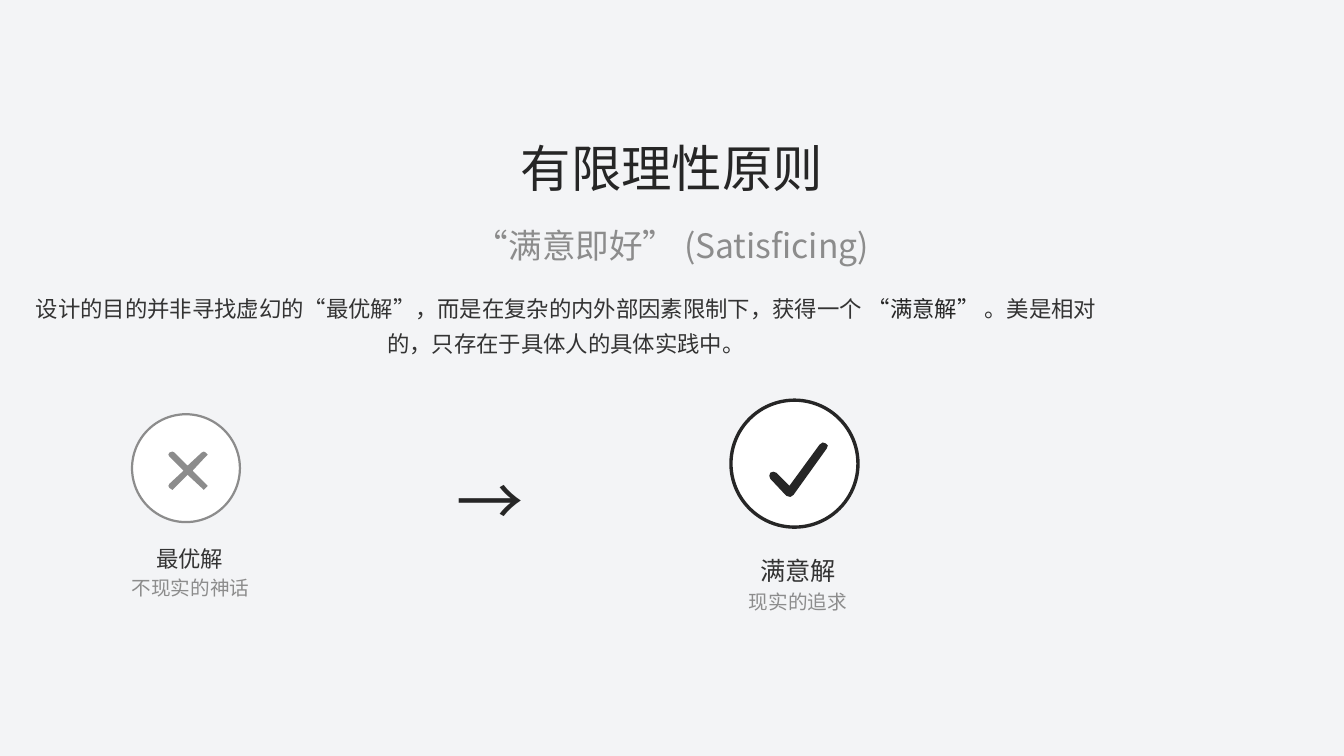
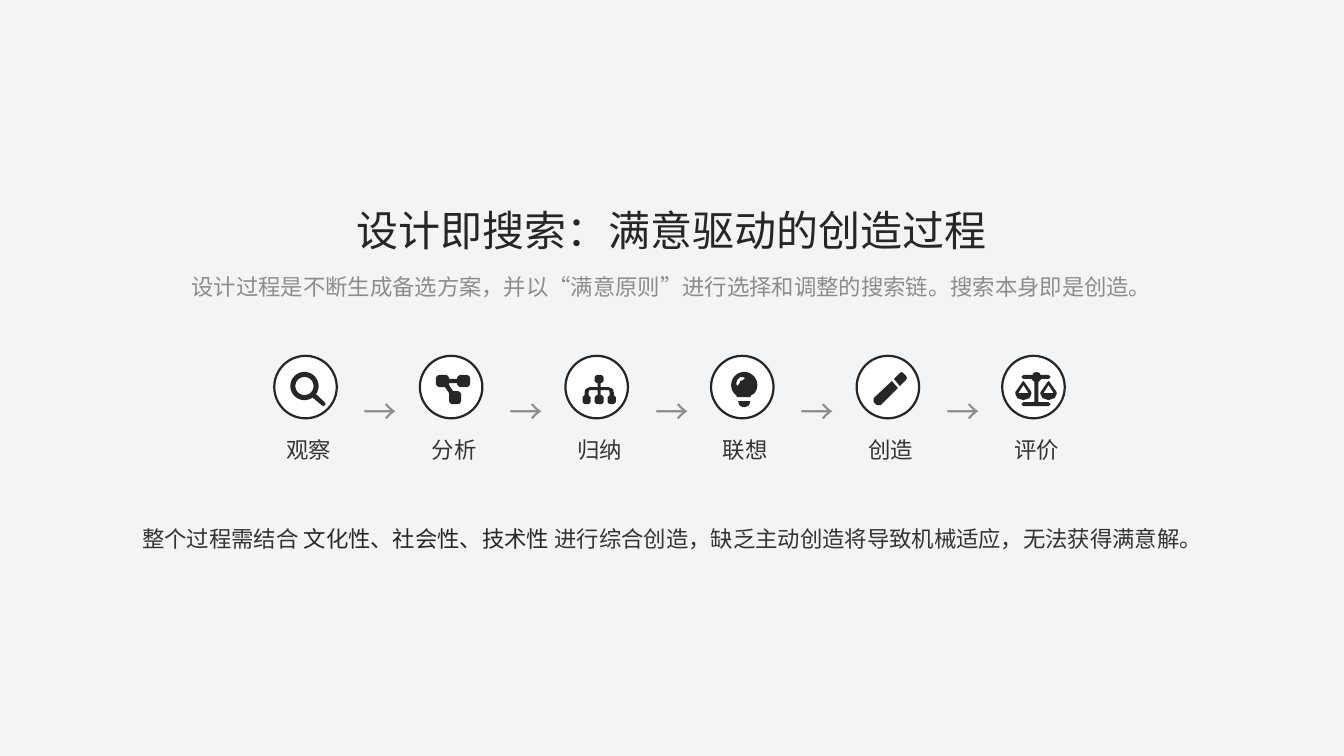
import math
from dataclasses import dataclass

import pptx
import pptx.dml.color
import pptx.enum.lang
import pptx.enum.shapes
import pptx.enum.text
import pptx.oxml.ns
import pptx.util

Inches = pptx.util.Inches
Pt = pptx.util.Pt
RGB = pptx.dml.color.RGBColor
Align = pptx.enum.text.PP_ALIGN
qn = pptx.oxml.ns.qn

Contour = tuple[tuple[float, float], ...]
Icon = tuple[Contour, ...]
Box = tuple[float, float, float, float]


@dataclass(frozen=True)
class Theme:
    font: str = "Noto Sans CJK SC"
    paper: RGB = RGB(0xF3, 0xF4, 0xF6)
    white: RGB = RGB(0xFF, 0xFF, 0xFF)
    ink: RGB = RGB(0x26, 0x26, 0x26)
    body: RGB = RGB(0x33, 0x33, 0x33)
    muted: RGB = RGB(0x8C, 0x8C, 0x8C)
    hero: int = 36
    title: int = 30
    subtitle: int = 24
    emphasis: int = 18
    text: int = 16
    caption: int = 14
    big_arrow: int = 48


T = Theme()
WIDTH, HEIGHT = 13.33, 7.5


@dataclass(frozen=True)
class Badge:
    """A white disc; its icon is in inches from the disc's top left corner."""
    left: float
    top: float
    size: float
    line: float
    color: RGB
    icon: Icon


@dataclass(frozen=True)
class Outcome:
    badge: Badge
    name: str
    name_box: Box
    name_size: int
    note: str
    note_box: Box


@dataclass(frozen=True)
class Step:
    name: str
    icon: Icon


def arc(x: float, y: float, radius: float, start: int, end: int) -> Contour:
    """Points along a circle, in degrees clockwise from the right."""
    return tuple((x + radius * math.cos(math.radians(a)),
                  y + radius * math.sin(math.radians(a)))
                 for a in range(start, end + 1, 10))


def scale_pan(x: float) -> Icon:
    """One hanging pan of the balance, centred on x, with its opening."""
    return (
        ((x - 0.08, 0.38), (x - 0.08, 0.36), (x - 0.01, 0.26), (x, 0.25),
         (x + 0.01, 0.26), (x + 0.08, 0.36), (x + 0.08, 0.38),
         (x + 0.06, 0.42), (x, 0.44), (x - 0.06, 0.42)),
        ((x - 0.05, 0.37), (x, 0.29), (x + 0.05, 0.37)),
    )


CROSS: Icon = ((
    (0.42, 0.38), (0.4, 0.37), (0.37, 0.38), (0.36, 0.4), (0.37, 0.42), (0.51, 0.56),
    (0.37, 0.69), (0.36, 0.71), (0.37, 0.73), (0.4, 0.75), (0.42, 0.73), (0.55, 0.6),
    (0.69, 0.73), (0.71, 0.75), (0.73, 0.73), (0.75, 0.71), (0.73, 0.69), (0.6, 0.56),
    (0.73, 0.42), (0.75, 0.4), (0.73, 0.38), (0.71, 0.37), (0.69, 0.38), (0.55, 0.51),
),)
CHECK: Icon = ((
    (0.94, 0.43), (0.96, 0.45), (0.95, 0.48), (0.62, 0.94), (0.59, 0.96),
    (0.55, 0.95), (0.39, 0.78), (0.38, 0.75), (0.39, 0.72), (0.42, 0.71),
    (0.45, 0.72), (0.58, 0.85), (0.88, 0.44), (0.91, 0.42),
),)
MAGNIFIER: Icon = (
    arc(0.3, 0.3, 0.14, 55, 395) + ((0.5, 0.46), (0.51, 0.48), (0.49, 0.5), (0.47, 0.49)),
    arc(0.3, 0.3, 0.09, 0, 350),
)
LINKED_NODES: Icon = ((
    (0.16, 0.22), (0.17, 0.2), (0.19, 0.19), (0.26, 0.19), (0.28, 0.2), (0.29, 0.22),
    (0.29, 0.23), (0.37, 0.23), (0.37, 0.22), (0.38, 0.2), (0.4, 0.19), (0.47, 0.19),
    (0.49, 0.2), (0.5, 0.22), (0.5, 0.28), (0.49, 0.3), (0.47, 0.31), (0.4, 0.31),
    (0.38, 0.3), (0.37, 0.28), (0.37, 0.27), (0.29, 0.27), (0.29, 0.29), (0.33, 0.35),
    (0.38, 0.35), (0.4, 0.36), (0.41, 0.38), (0.41, 0.45), (0.4, 0.47), (0.38, 0.48),
    (0.32, 0.48), (0.3, 0.47), (0.29, 0.45), (0.29, 0.37), (0.25, 0.31), (0.19, 0.31),
    (0.17, 0.3), (0.16, 0.28),
),)
HIERARCHY: Icon = ((
    (0.29, 0.21), (0.31, 0.19), (0.36, 0.19), (0.38, 0.21), (0.38, 0.25), (0.36, 0.27),
    (0.35, 0.27), (0.35, 0.31), (0.43, 0.31), (0.47, 0.33), (0.48, 0.36), (0.48, 0.39),
    (0.5, 0.41), (0.5, 0.46), (0.48, 0.48), (0.44, 0.48), (0.42, 0.46), (0.42, 0.41),
    (0.44, 0.39), (0.44, 0.36), (0.43, 0.34), (0.35, 0.34), (0.35, 0.39), (0.36, 0.39),
    (0.38, 0.41), (0.38, 0.46), (0.36, 0.48), (0.31, 0.48), (0.29, 0.46), (0.29, 0.41),
    (0.31, 0.39), (0.32, 0.39), (0.32, 0.34), (0.24, 0.34), (0.23, 0.36), (0.23, 0.39),
    (0.25, 0.41), (0.25, 0.46), (0.23, 0.48), (0.19, 0.48), (0.17, 0.46), (0.17, 0.41),
    (0.19, 0.39), (0.19, 0.36), (0.2, 0.33), (0.24, 0.31), (0.32, 0.31), (0.32, 0.27),
    (0.31, 0.27), (0.29, 0.25),
),)
BULB: Icon = (
    arc(0.33, 0.29, 0.13, 140, 400) + ((0.4, 0.39), (0.39, 0.41), (0.26, 0.41), (0.25, 0.39)),
    ((0.27, 0.45), (0.39, 0.45), (0.38, 0.49), (0.34, 0.51), (0.32, 0.51), (0.28, 0.49)),
    ((0.32, 0.24), (0.29, 0.25), (0.28, 0.28), (0.26, 0.3), (0.25, 0.28),
     (0.26, 0.24), (0.29, 0.21), (0.32, 0.21), (0.34, 0.22)),
)
PENCIL: Icon = (
    ((0.43, 0.17), (0.37, 0.23), (0.43, 0.3), (0.49, 0.24), (0.5, 0.22),
     (0.49, 0.2), (0.46, 0.17), (0.45, 0.16)),
    ((0.35, 0.25), (0.17, 0.42), (0.17, 0.46), (0.2, 0.49), (0.24, 0.49), (0.41, 0.32)),
)
BALANCE: Icon = ((
    (0.38, 0.19), (0.46, 0.19), (0.48, 0.21), (0.46, 0.23), (0.39, 0.23), (0.36, 0.26),
    (0.36, 0.46), (0.46, 0.46), (0.48, 0.48), (0.46, 0.5), (0.21, 0.5), (0.19, 0.48),
    (0.21, 0.46), (0.32, 0.46), (0.32, 0.26), (0.29, 0.23), (0.21, 0.23), (0.19, 0.21),
    (0.21, 0.19), (0.3, 0.19), (0.31, 0.17), (0.34, 0.16), (0.37, 0.17),
),) + scale_pan(0.21) + scale_pan(0.46)


def add_text(slide, box: Box, runs: list[tuple[str, RGB]], size: int,
             spacing: float = 1.3, align: Align = Align.CENTER) -> None:
    tf = slide.shapes.add_textbox(*map(Inches, box)).text_frame
    frame_format = {
        "word_wrap": True, "vertical_anchor": pptx.enum.text.MSO_ANCHOR.MIDDLE,
        "margin_left": 0, "margin_right": 0, "margin_top": 0, "margin_bottom": 0,
    }
    for name, value in frame_format.items():
        setattr(tf, name, value)
    p = tf.paragraphs[0]
    p.alignment, p.line_spacing = align, spacing
    font_format = {
        "name": T.font, "size": Pt(size),
        "language_id": pptx.enum.lang.MSO_LANGUAGE_ID.SIMPLIFIED_CHINESE,
    }
    for text, color in runs:
        r = p.add_run()
        r.text = text
        for name, value in font_format.items():
            setattr(r.font, name, value)
        r.font.color.rgb = color
        latin = r.font._element.find(qn("a:latin"))
        latin.addnext(latin.makeelement(qn("a:ea"), {"typeface": T.font}))


def add_icon(slide, badge: Badge) -> None:
    """Draw all contours as one outline; inner contours become holes."""
    contours = [[(Inches(badge.left + x), Inches(badge.top + y)) for x, y in contour]
                for contour in badge.icon]
    builder = slide.shapes.build_freeform(*contours[0][0])
    for i, contour in enumerate(contours):
        if i:
            builder.move_to(*contour[0])
        builder.add_line_segments(contour[1:], close=True)
    sp = builder.convert_to_shape()
    sp.shadow.inherit = False
    sp.fill.solid()
    sp.fill.fore_color.rgb = badge.color
    sp.line.fill.background()


def add_badge(slide, badge: Badge) -> None:
    sp = slide.shapes.add_shape(
        pptx.enum.shapes.MSO_SHAPE.OVAL,
        *map(Inches, (badge.left, badge.top, badge.size, badge.size)))
    sp.shadow.inherit = False
    sp.fill.solid()
    sp.fill.fore_color.rgb = T.white
    sp.line.color.rgb = badge.color
    sp.line.width = Pt(badge.line)
    add_icon(slide, badge)


def build_principle(slide) -> None:
    add_text(slide, (0, 1.42, WIDTH, 0.56), [("有限理性原则", T.ink)], T.hero, 0.9)
    add_text(slide, (0, 2.19, WIDTH, 0.45), [("“满意即好” (Satisficing)", T.muted)],
             T.subtitle, 1.1)
    add_text(slide, (0.28, 2.86, 10.67, 0.67), [
        ("设计的目的并非寻找虚幻的“最优解”，而是在复杂的内外部因素限制下，获得一个", T.body),
        (" “满意解” ", T.ink),
        ("。美是相对的，只存在于具体人的具体实践中。", T.body),
    ], T.text)
    outcomes = (
        Outcome(Badge(1.31, 4.11, 1.07, 1.6, T.muted, CROSS),
                "最优解", (1.02, 5.33, 1.72, 0.34), T.text,
                "不现实的神话", (1.03, 5.67, 1.72, 0.28)),
        Outcome(Badge(7.25, 3.97, 1.26, 2.4, T.ink, CHECK),
                "满意解", (6.97, 5.42, 1.89, 0.39), T.emphasis,
                "现实的追求", (6.97, 5.81, 1.89, 0.28)),
    )
    for o in outcomes:
        add_badge(slide, o.badge)
        add_text(slide, o.name_box, [(o.name, T.body)], o.name_size)
        add_text(slide, o.note_box, [(o.note, T.muted)], T.caption, 1.2)
    add_text(slide, (4.25, 4.69, 1.22, 0.68), [("→", T.ink)], T.big_arrow, 0.8)


def build_process(slide) -> None:
    add_text(slide, (0, 2.03, WIDTH, 0.5), [("设计即搜索：满意驱动的创造过程", T.ink)],
             T.title, 1.0)
    add_text(slide, (1.61, 2.64, 10.11, 0.33), [
        ("设计过程是不断生成备选方案，并以“满意原则”进行选择和调整的搜索链。搜索本身即是创造。", T.muted),
    ], T.text)
    steps = (
        Step("观察", MAGNIFIER), Step("分析", LINKED_NODES), Step("归纳", HIERARCHY),
        Step("联想", BULB), Step("创造", PENCIL), Step("评价", BALANCE),
    )
    first, last = 2.72, 9.94
    pitch = (last - first) / (len(steps) - 1)
    for i, step in enumerate(steps):
        left = first + i * pitch
        add_badge(slide, Badge(left, 3.53, 0.62, 1.6, T.ink, step.icon))
        add_text(slide, (left - 0.16, 4.25, 1, 0.34), [(step.name, T.body)], T.text)
        if i < len(steps) - 1:
            add_text(slide, (left + 0.89, 3.83, 0.89, 0.45), [("→", T.muted)],
                     T.subtitle, 1.1, Align.LEFT)
    add_text(slide, (0.28, 5.14, 12.78, 0.33), [
        ("整个过程需结合", T.body),
        (" 文化性、社会性、技术性 ", T.ink),
        ("进行综合创造，缺乏主动创造将导致机械适应，无法获得满意解。", T.body),
    ], T.text)


def main() -> None:
    prs = pptx.Presentation()
    prs.slide_width, prs.slide_height = Inches(WIDTH), Inches(HEIGHT)
    fill = prs.slide_master.background.fill
    fill.solid()
    fill.fore_color.rgb = T.paper
    for build in (build_principle, build_process):
        build(prs.slides.add_slide(prs.slide_layouts[6]))
    prs.save("out.pptx")


if __name__ == "__main__":
    main()
